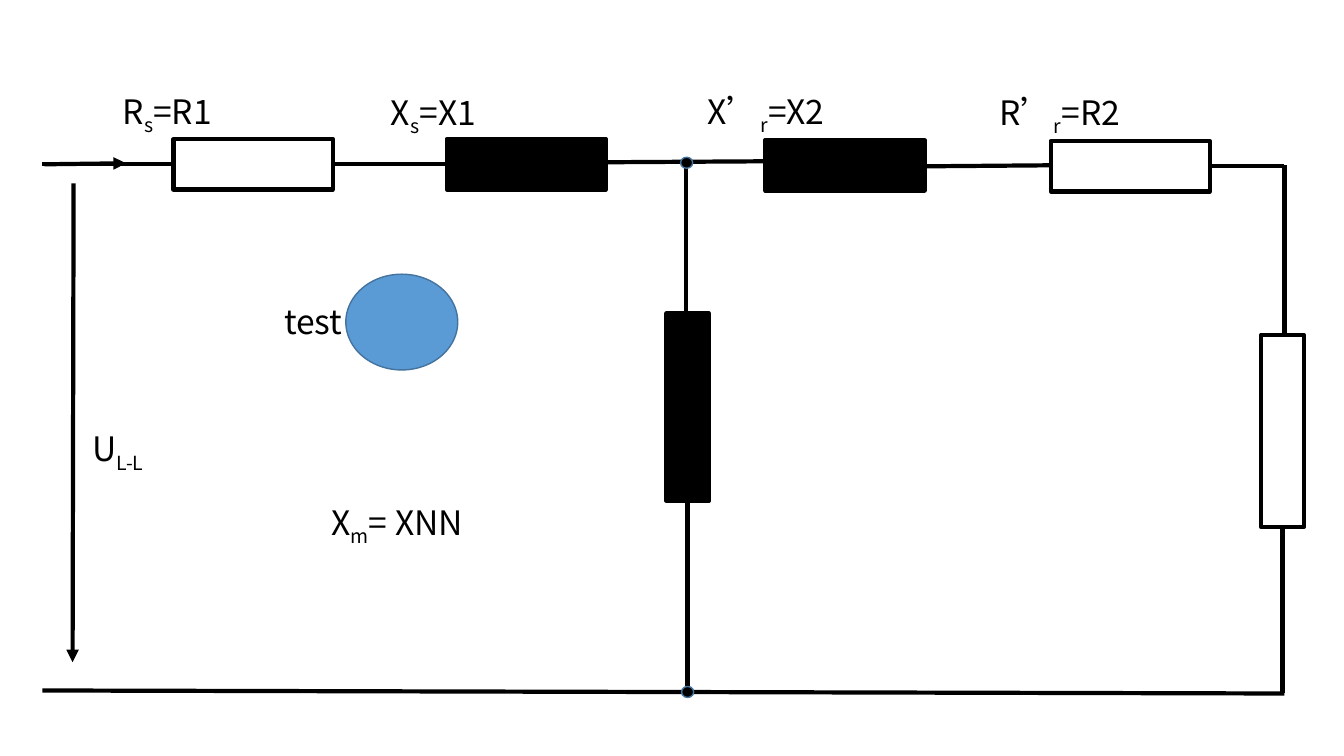
from lxml.etree import SubElement
from pptx import Presentation
from pptx.dml.color import RGBColor
from pptx.enum.shapes import MSO_CONNECTOR, MSO_SHAPE
from pptx.oxml.ns import qn
from pptx.util import Inches, Pt

FONT = "Noto Sans CJK SC"
BLACK = "000000"
OUTLINE = "43739E"


def color(value):
    return RGBColor.from_string(value)


def add_part(kind, box, fill, line, weight):
    part = slide.shapes.add_shape(kind, *map(Inches, box))
    part.shadow.inherit = False
    if fill:
        part.fill.solid()
        part.fill.fore_color.rgb = color(fill)
    else:
        part.fill.background()
    part.line.color.rgb = color(line)
    part.line.width = Pt(weight)


prs = Presentation()
prs.slide_width, prs.slide_height = Inches(13.33), Inches(7.5)
slide = prs.slides.add_slide(prs.slide_layouts[6])

wires = [
    (0.42, 1.63, 1.72, 1.63),
    (3.3, 1.63, 4.41, 1.63),
    (5.99, 1.61, 7.59, 1.6),
    (9.17, 1.65, 10.42, 1.64),
    (12, 1.65, 12.74, 1.65),
    (12.74, 1.64, 12.74, 3.31),
    (12.72, 5.23, 12.72, 6.88),
    (0.42, 6.85, 12.74, 6.88),
    (6.8, 1.65, 6.8, 3.09),
    (6.82, 4.95, 6.82, 6.81),
]
arrows = [(0.44, 1.63, 1.25, 1.62), (0.73, 1.82, 0.72, 6.57)]
for ends in wires + arrows:
    wire = slide.shapes.add_connector(MSO_CONNECTOR.STRAIGHT, *map(Inches, ends))
    wire.line.color.rgb = color(BLACK)
    wire.line.width = Pt(3)
    properties = wire._element.spPr
    if ends in arrows:
        SubElement(properties.find(qn("a:ln")), qn("a:tailEnd"), type="triangle")
    SubElement(properties, qn("a:effectLst"))

resistors = [(1.72, 1.38, 1.58, 0.5), (10.42, 1.4, 1.58, 0.5), (12.51, 3.32, 0.42, 1.91)]
reactances = [(4.43, 1.38, 1.58, 0.5), (7.59, 1.39, 1.58, 0.5), (6.61, 3.11, 0.42, 1.86)]
for fill, boxes in ((None, resistors), (BLACK, reactances)):
    for box in boxes:
        add_part(MSO_SHAPE.RECTANGLE, box, fill, BLACK, 3)

for left, top in ((6.75, 1.56), (6.76, 6.81)):
    add_part(MSO_SHAPE.OVAL, (left, top, 0.12, 0.11), BLACK, OUTLINE, 1)

labels = [
    (1.12, 0.85, 2.79, "R", "s", "=R1"),
    (3.78, 0.86, 3.16, "X", "s", "=X1"),
    (6.92, 0.85, 2.98, "X’", "r", "=X2"),
    (9.81, 0.86, 3.01, "R’", "r", "=R2"),
    (0.82, 4.2, 1.3, "U", "L-L", ""),
    (3.19, 4.93, 4.06, "X", "m", "= XNN"),
    (2.72, 2.94, 1.7, "test", "", ""),
]
for left, top, width, symbol, subscript, value in labels:
    label = slide.shapes.add_textbox(Inches(left), Inches(top), Inches(width), Inches(0.5))
    label.text_frame.word_wrap = True
    paragraph = label.text_frame.paragraphs[0]
    for text, baseline in ((symbol, 0), (subscript, -25000), (value, 0)):
        if text:
            run = paragraph.add_run()
            run.text = text
            run.font.name = FONT
            run.font.size = Pt(24)
            run.font.color.rgb = color(BLACK)
            if baseline:
                run.font._element.set("baseline", str(baseline))

add_part(MSO_SHAPE.OVAL, (3.43, 2.72, 1.11, 0.95), "5B9BD5", OUTLINE, 1)

prs.save("out.pptx")
